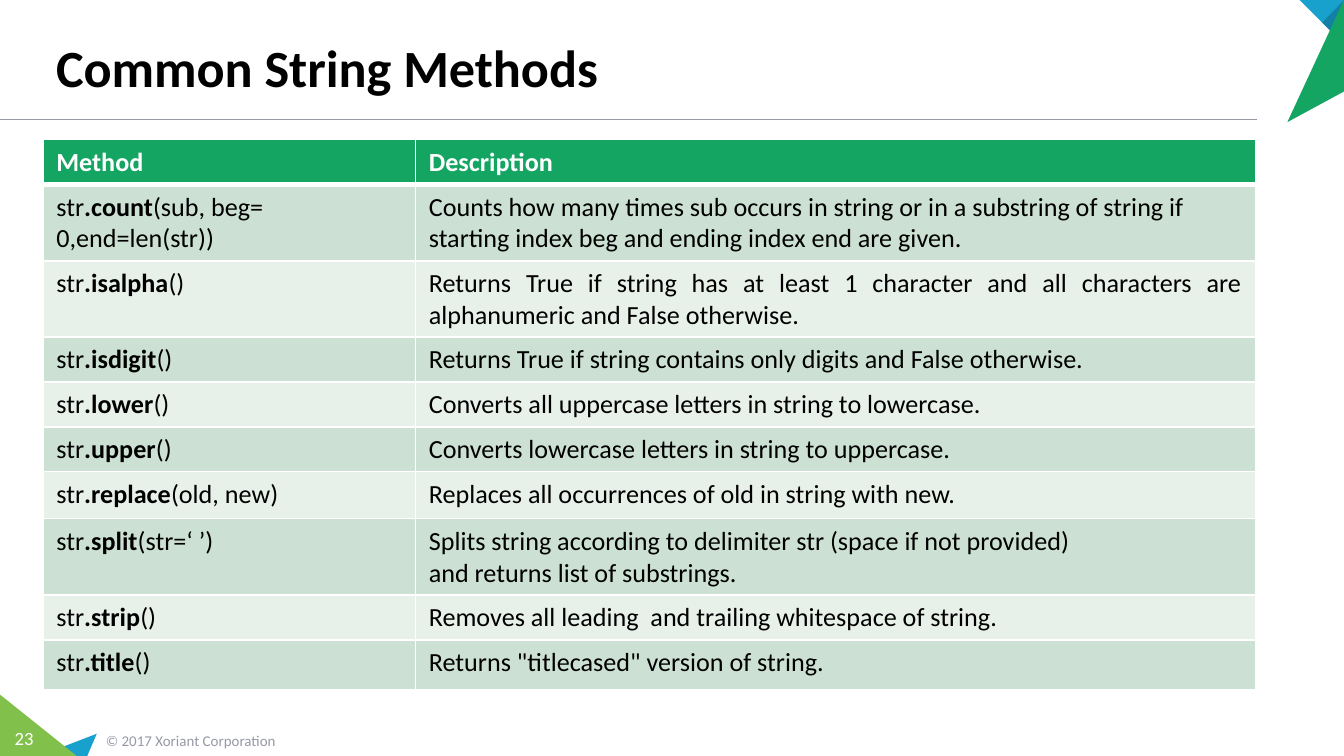
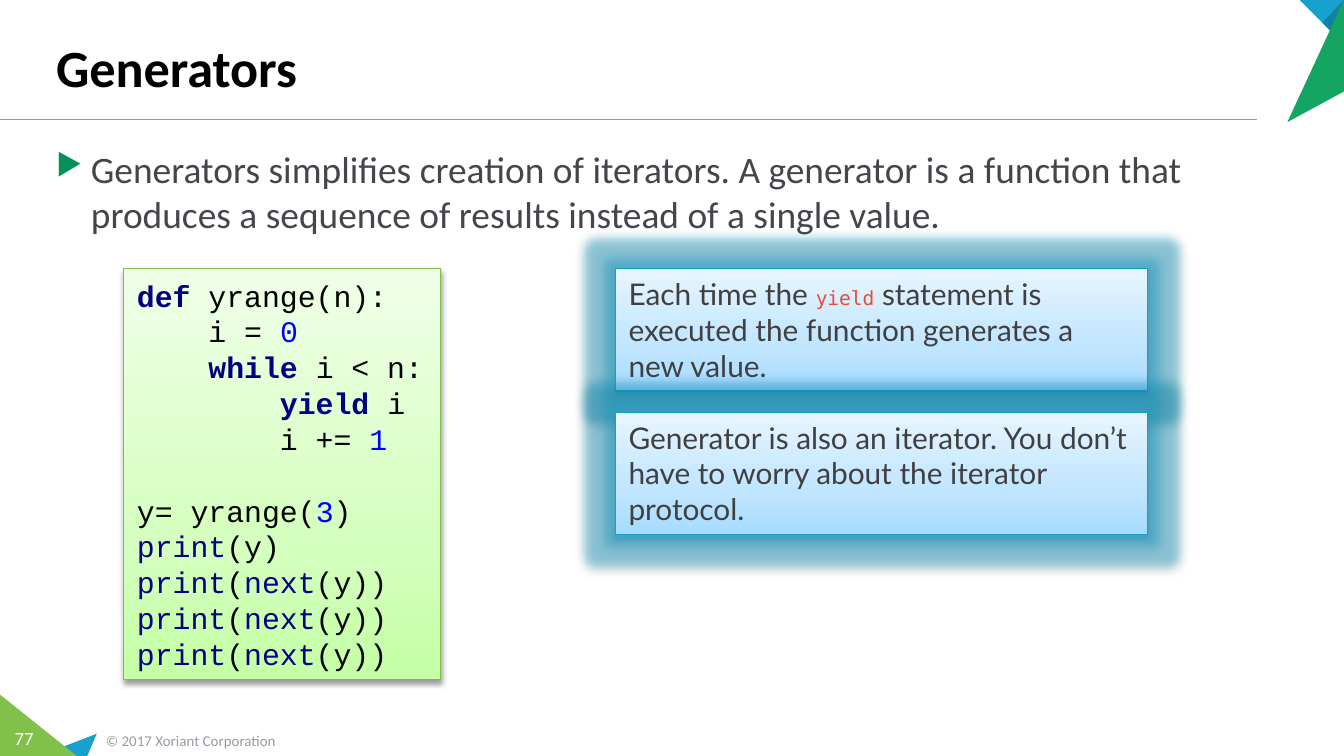
import copy

import lxml.etree
import pptx
import pptx.dml.color
import pptx.enum.shapes
import pptx.enum.text
import pptx.oxml.ns
import pptx.util

Cm, Pt = pptx.util.Cm, pptx.util.Pt
RGB = pptx.dml.color.RGBColor.from_string
qn = pptx.oxml.ns.qn
SubElement = lxml.etree.SubElement
ANCHOR = pptx.enum.text.MSO_ANCHOR
ALIGN = pptx.enum.text.PP_ALIGN
AUTO_SIZE = pptx.enum.text.MSO_AUTO_SIZE

COLORS = {
    "black": "000000", "white": "FFFFFF", "gray": "959AA5",
    "body": "44464B", "note": "404040", "bullet": "049159",
    "blue": "17A1CC", "dark_blue": "1281A3", "green": "15A563", "lime": "81C14B",
    "band_dark": "CCE1D3", "band_light": "E8F0EA",
    "code_line": "7EC046", "note_line": "12A0CC",
    "navy": "000080", "number": "0000FF", "inline_code": "E74C3C",
}
CODE_GRADIENT = ["C4FFA5", "D5FFBF", "EFFFE7"]
NOTE_GRADIENT = ["A5DCFF", "C0E5FF", "E7F5FF"]


def add_run(paragraph, text, size, color, font="Calibri", bold=False):
    run = paragraph.add_run()
    run.text = text
    run.font.size = Pt(size)
    run.font.name = font
    run.font.bold = bold
    run.font.color.rgb = RGB(COLORS[color])
    return run


def add_panel(slide, box, gradient, line_color, glow=False):
    """Add a gradient rectangle with a soft shadow and return its text frame."""
    panel = slide.shapes.add_shape(
        pptx.enum.shapes.MSO_SHAPE.RECTANGLE, *[Cm(value) for value in box])
    panel.line.color.rgb = RGB(COLORS[line_color])
    panel.line.width = Pt(0.75)
    panel.fill.gradient()
    panel.fill.gradient_angle = 90
    properties = panel._element.spPr
    stops = properties.find(".//" + qn("a:gsLst"))
    for stop in list(stops):
        stops.remove(stop)
    for position, color in zip((0, 35000, 100000), gradient):
        stop = SubElement(stops, qn("a:gs"), pos=str(position))
        SubElement(stop, qn("a:srgbClr"), val=color)

    panel.shadow.inherit = False
    effects = properties.find(qn("a:effectLst"))
    if glow:
        halo = SubElement(effects, qn("a:glow"), rad=str(Pt(11)))
        halo_color = SubElement(halo, qn("a:srgbClr"), val=COLORS["blue"])
        SubElement(halo_color, qn("a:alpha"), val="40000")
    shadow = SubElement(effects, qn("a:outerShdw"), blurRad=str(Pt(3.1)),
                        dist=str(Pt(1.6)), dir="5400000", rotWithShape="0")
    shadow_color = SubElement(shadow, qn("a:srgbClr"), val=COLORS["black"])
    SubElement(shadow_color, qn("a:alpha"), val="38000")

    frame = panel.text_frame
    frame.word_wrap = True
    frame.auto_size = AUTO_SIZE.SHAPE_TO_FIT_TEXT
    frame.paragraphs[0].alignment = ALIGN.LEFT
    return frame


deck = pptx.Presentation()
deck.slide_width, deck.slide_height = Cm(25.4), Cm(14.29)

# Shared corners, rule, title and footer
triangles = [
    ("blue", [(1.83, 13.87), (1.65, 14.29), (0.74, 14.29)]),
    ("lime", [(0, 13.13), (1.45, 14.29), (0, 14.29)]),
    ("blue", [(24.56, 0), (25.4, 0), (25.4, 0.84)]),
    ("dark_blue", [(24.99, 0.43), (25.4, 0), (25.4, 0.84)]),
    ("green", [(24.33, 2.31), (25.4, 0), (25.4, 1.73)]),
]
slides = []
for title, number in [("Common String Methods", "23"), ("Generators", "77")]:
    slide = deck.slides.add_slide(deck.slide_layouts[6])
    slides.append(slide)
    rule = slide.shapes.add_connector(
        pptx.enum.shapes.MSO_CONNECTOR.STRAIGHT, 0, Cm(2.26), Cm(23.75), Cm(2.26))
    rule.line.color.rgb = RGB(COLORS["gray"])
    rule.line.width = Pt(1)
    SubElement(rule._element.spPr, qn("a:effectLst"))

    for color, corners in triangles:
        points = [(Cm(x), Cm(y)) for x, y in corners]
        builder = slide.shapes.build_freeform(*points[0])
        builder.add_line_segments(points[1:], close=True)
        triangle = builder.convert_to_shape()
        triangle.shadow.inherit = False
        triangle.fill.solid()
        triangle.fill.fore_color.rgb = RGB(COLORS[color])
        triangle.line.fill.background()

    for text, box, size, color, anchor in [
        ("© 2017 Xoriant Corporation", (1.75, 13.69, 5.92, 0.61), 8, "gray", ANCHOR.MIDDLE),
        (number, (0, 13.61, 0.91, 0.69), 10, "white", ANCHOR.TOP),
        (title, (0.81, 0.15, 22.86, 1.83), 28, "black", ANCHOR.BOTTOM),
    ]:
        frame = slide.shapes.add_textbox(*[Cm(value) for value in box]).text_frame
        frame.word_wrap = True
        frame.vertical_anchor = anchor
        add_run(frame.paragraphs[0], text, size, color, bold=text == title)
        if text == number:
            frame.margin_left = frame.margin_right = 0
            frame.paragraphs[0].alignment = ALIGN.CENTER

methods_slide, generators_slide = slides

# Common String Methods
methods = [
    ("count", "(sub, beg= 0,end=len(str))", 1.24,
     "Counts how many times sub occurs in string or in a substring of string if\n"
     "starting index beg and ending index end are given."),
    ("isalpha", "()", 1.24, "Returns True if string has at least 1 character and all "
     "characters are alphanumeric and False otherwise."),
    ("isdigit", "()", 0.71, "Returns True if string contains only digits and False otherwise."),
    ("lower", "()", 0.71, "Converts all uppercase letters in string to lowercase."),
    ("upper", "()", 0.71, "Converts lowercase letters in string to uppercase."),
    ("replace", "(old, new)", 0.89, "Replaces all occurrences of old in string with new."),
    ("split", "(str=‘ ’)", 1.24,
     "Splits string according to delimiter str (space if not provided)\n"
     "and returns list of substrings."),
    ("strip", "()", 0.71, "Removes all leading  and trailing whitespace of string."),
    ("title", "()", 0.94, "Returns \"titlecased\" version of string."),
]
heights = [0.71] + [height for _, _, height, _ in methods]
table = methods_slide.shapes.add_table(
    len(heights), 2, Cm(0.81), Cm(2.64), Cm(22.92), Cm(sum(heights))).table
table.horz_banding = False
table.columns[0].width, table.columns[1].width = Cm(7.04), Cm(15.88)

for index, height in enumerate(heights):
    table.rows[index].height = Cm(height)
    for cell in table.rows[index].cells:
        for side in "LRTB":
            thick = (index, side) in [(0, "B"), (1, "T")]
            border = SubElement(cell._tc.get_or_add_tcPr(), qn("a:ln" + side),
                                w=str(Pt(3 if thick else 1)))
            border_fill = SubElement(border, qn("a:solidFill"))
            SubElement(border_fill, qn("a:srgbClr"), val=COLORS["white"])
        band = "band_dark" if index % 2 else "band_light"
        cell.fill.solid()
        cell.fill.fore_color.rgb = RGB(COLORS[band if index else "green"])

for column, heading in enumerate(["Method", "Description"]):
    add_run(table.cell(0, column).text_frame.paragraphs[0], heading, 14, "white", bold=True)

for row, (name, arguments, _, description) in enumerate(methods, start=1):
    signature = table.cell(row, 0).text_frame.paragraphs[0]
    add_run(signature, "str", 14, "black")
    add_run(signature, "." + name, 14, "black", bold=True)
    add_run(signature, arguments, 14, "black")
    frame = table.cell(row, 1).text_frame
    frame.text = description
    for paragraph in frame.paragraphs:
        paragraph.alignment = ALIGN.LEFT if "\n" in description else ALIGN.JUSTIFY
        for run in paragraph.runs:
            run.font.size = Pt(14)
            run.font.name = "Calibri"
            run.font.bold = False
            run.font.color.rgb = RGB(COLORS["black"])

# Generators
frame = generators_slide.shapes.add_textbox(Cm(0.81), Cm(2.64), Cm(23.29), Cm(2.16)).text_frame
frame.word_wrap = True
summary = frame.paragraphs[0]
layout = summary._p.get_or_add_pPr()
layout.set("marL", str(Cm(0.66)))
layout.set("indent", str(Cm(-0.66)))
bullet_color = SubElement(layout, qn("a:buClr"))
SubElement(bullet_color, qn("a:srgbClr"), val=COLORS["bullet"])
SubElement(layout, qn("a:buSzPct"), val="80000")
SubElement(layout, qn("a:buChar"), char="▶")
summary.space_after = Pt(3)
add_run(summary, "Generators simplifies creation of iterators. A generator is a function that "
        "produces a sequence of results instead of a single value.", 20, "body")

print_next = [("navy", "print"), ("black", "("), ("navy", "next"), ("black", "(y))")]
code_lines = [
    [("keyword", "def "), ("black", "yrange(n):")],
    [("black", "    i = "), ("number", "0")],
    [("keyword", "    while "), ("black", "i < n:")],
    [("keyword", "        yield "), ("black", "i")],
    [("black", "        i += "), ("number", "1")],
    [],
    [("black", "y= yrange("), ("number", "3"), ("black", ")")],
    [("navy", "print"), ("black", "(y)")],
    print_next, print_next, print_next,
]
frame = add_panel(generators_slide, (2.34, 5.08, 5.99, 7.77), CODE_GRADIENT, "code_line")
frame.word_wrap = False
frame.vertical_anchor = ANCHOR.MIDDLE
code = frame.paragraphs[0]
for index, tokens in enumerate(code_lines):
    if index:
        code.add_line_break()
        # A break needs the run's font, or it takes the default line height
        code._p[-1].append(copy.deepcopy(run._r.rPr))
    for kind, text in tokens:
        keyword = kind == "keyword"
        run = add_run(code, text, 16, "navy" if keyword else kind, "Courier New", keyword)

yield_note = [
    ("Each time the\u00a0", 16, "note", "Lato"),
    ("yield", 10.5, "inline_code", "DejaVu Sans Mono"),
    ("\u00a0statement is executed the function generates a new value.", 16, "note", "Lato"),
]
iterator_note = [
    ("Generator is also an iterator. You don’t have to worry about the iterator protocol.",
     16, "note", "Lato"),
]
for top, note, anchor in [(5.08, yield_note, ANCHOR.MIDDLE), (7.8, iterator_note, ANCHOR.TOP)]:
    frame = add_panel(generators_slide, (11.63, top, 10.06, 2.31),
                      NOTE_GRADIENT, "note_line", glow=True)
    frame.vertical_anchor = anchor
    for text, size, color, font in note:
        add_run(frame.paragraphs[0], text, size, color, font)

deck.save("out.pptx")
